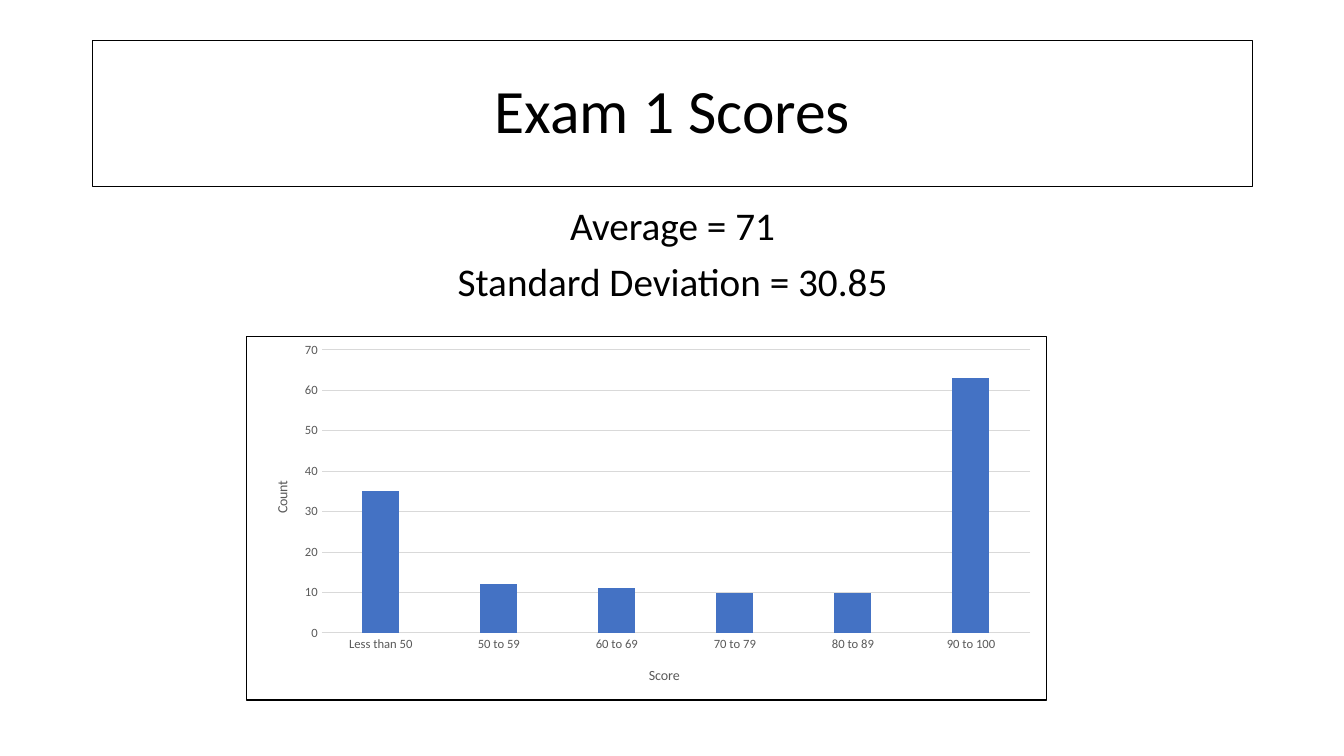
from lxml import etree
from pptx import Presentation
from pptx import util as u
from pptx.chart import data as chart_data
from pptx.dml import color
from pptx.enum import chart as ch, text as tx
from pptx.oxml import parse_xml
from pptx.oxml.ns import nsdecls, qn

FONT = "Calibri"
BLACK, WHITE, GREY, PALE, BLUE = "000000", "FFFFFF", "595959", "D9D9D9", "4472C4"
LEFT, WIDTH = 0.92, 11.5
COUNTS = {"Less than 50": 35, "50 to 59": 12, "60 to 69": 11,
          "70 to 79": 10, "80 to 89": 10, "90 to 100": 63}


def rgb(value):
    return color.RGBColor.from_string(value)


def style_font(font, size, colour):
    font.name, font.size, font.bold = FONT, u.Pt(size), False
    font.color.rgb = rgb(colour)


def style_line(line, colour, width):
    line.color.rgb = rgb(colour)
    line.width = u.Pt(width)


def style_paragraph(para, size):
    para.alignment = tx.PP_ALIGN.CENTER
    para.line_spacing = 0.9
    style_font(para.font, size, BLACK)


def add_title(page, box):
    title = page.shapes.title
    title.left, title.top, title.width, title.height = map(u.Inches, box)
    title.fill.solid()
    title.fill.fore_color.rgb = rgb(WHITE)
    style_line(title.line, BLACK, 1)
    title.text_frame.text = "Exam 1 Scores"
    title.text_frame.vertical_anchor = tx.MSO_ANCHOR.MIDDLE
    style_paragraph(title.text_frame.paragraphs[0], 44)


def add_statistics(page, box):
    frame = page.shapes.add_textbox(*map(u.Inches, box)).text_frame
    frame.word_wrap = True
    frame.text = "Average = 71\nStandard Deviation = 30.85"
    for para in frame.paragraphs:
        style_paragraph(para, 28)
    frame.paragraphs[1].space_before = u.Pt(10)


def set_layout(parent, index, **shares):
    """Place a chart part by shares of the chart's size."""
    for old in parent.findall(qn("c:layout")):
        parent.remove(old)
    layout = etree.Element(qn("c:layout"))
    manual = etree.SubElement(layout, qn("c:manualLayout"))
    if "w" in shares:
        etree.SubElement(manual, qn("c:layoutTarget"), val="inner")
    for mode in ("xMode", "yMode"):
        etree.SubElement(manual, qn("c:" + mode), val="edge")
    for name, share in shares.items():
        etree.SubElement(manual, qn("c:" + name), val=str(share))
    parent.insert(index, layout)


def style_axis(axis, name, x, y):
    axis.major_tick_mark = axis.minor_tick_mark = ch.XL_TICK_MARK.NONE
    style_font(axis.tick_labels.font, 9, GREY)
    title = axis.axis_title
    title.text_frame.text = name
    style_font(title.text_frame.paragraphs[0].font, 10, GREY)
    set_layout(title._element, 1, x=x, y=y)


def add_score_chart(page, box):
    scores = chart_data.CategoryChartData()
    scores.categories = list(COUNTS)
    scores.add_series("Series 1", list(COUNTS.values()))
    chart = page.shapes.add_chart(
        ch.XL_CHART_TYPE.COLUMN_CLUSTERED, *map(u.Inches, box), scores).chart
    chart.has_title = chart.has_legend = False
    style_font(chart.font, 10, BLACK)

    plot = chart.plots[0]
    plot.gap_width, plot.overlap, plot.vary_by_categories = 219, -27, False
    bars = plot.series[0].format.fill
    bars.solid()
    bars.fore_color.rgb = rgb(BLUE)

    style_axis(chart.category_axis, "Score", 0.5, 0.9)
    style_line(chart.category_axis.format.line, PALE, 0.75)
    counts = chart.value_axis
    style_axis(counts, "Count", 0.03, 0.39)
    counts.minimum_scale, counts.maximum_scale, counts.major_unit = 0, 70, 10
    counts.format.line.fill.background()
    style_line(counts.major_gridlines.format.line, PALE, 0.75)

    space = chart._chartSpace
    set_layout(space.find(".//" + qn("c:plotArea")), 0,
               x=0.094, y=0.038, w=0.886, h=0.778)
    space.find(qn("c:chart")).addnext(parse_xml(
        f'<c:spPr {nsdecls("c", "a")}>'
        f'<a:solidFill><a:srgbClr val="{WHITE}"/></a:solidFill>'
        f'<a:ln w="{u.Pt(0.75)}"><a:solidFill><a:srgbClr val="{BLACK}"/>'
        '</a:solidFill></a:ln></c:spPr>'))


def main():
    deck = Presentation()
    deck.slide_width, deck.slide_height = u.Inches(13.33), u.Inches(7.5)
    page = deck.slides.add_slide(deck.slide_layouts.get_by_name("Title Only"))
    add_title(page, (LEFT, 0.4, WIDTH, 1.45))
    add_statistics(page, (LEFT, 2, WIDTH, 1.2))
    add_score_chart(page, (2.44, 3.33, 7.94, 3.62))
    deck.save("out.pptx")


if __name__ == "__main__":
    main()
